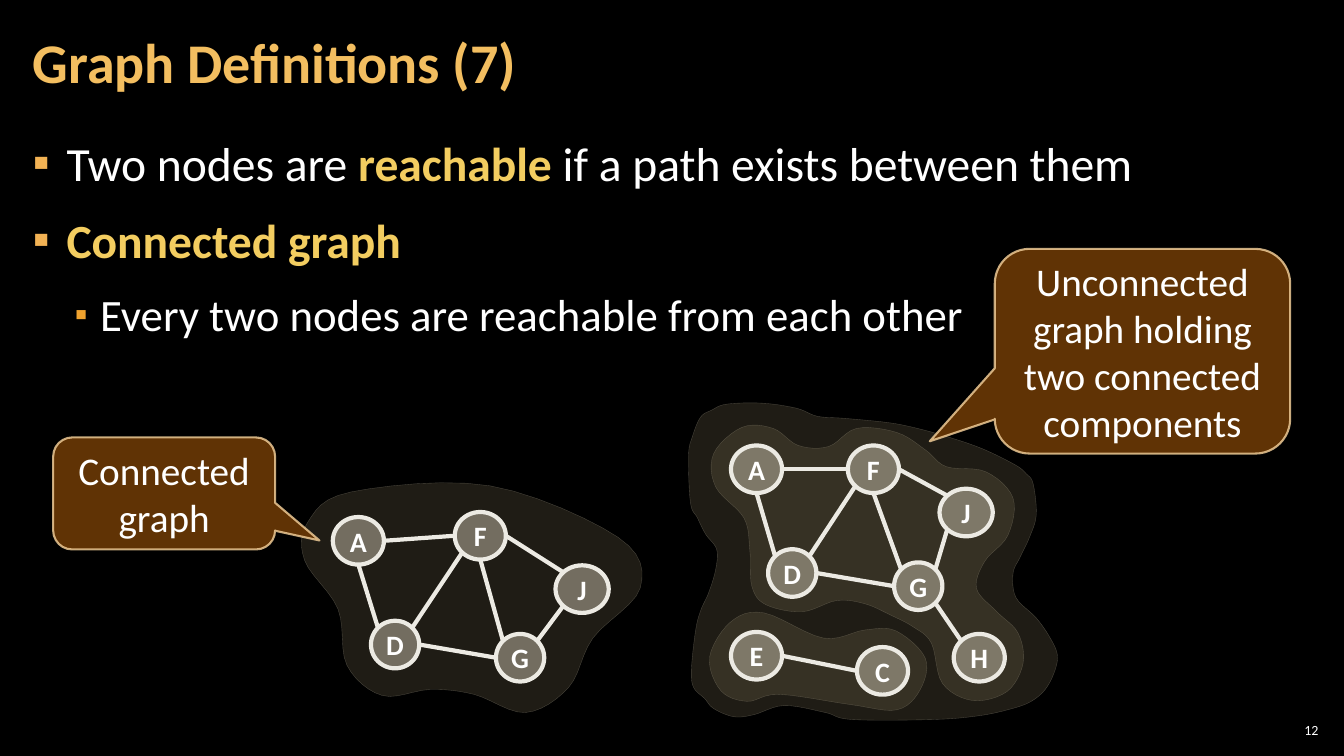
from dataclasses import dataclass

import pptx
import pptx.dml.color
import pptx.enum.shapes
import pptx.enum.text
import pptx.oxml
import pptx.oxml.ns
import pptx.util

Pt = pptx.util.Pt
qn = pptx.oxml.ns.qn
ALIGN = pptx.enum.text.PP_ALIGN
PRESET = pptx.enum.shapes.MSO_SHAPE


@dataclass(frozen=True)
class Theme:
    font: str = "Calibri"
    background: str = "000000"
    text: str = "FFFFFF"
    title: str = "F3BE60"
    emphasis: str = "F3CD60"
    bullets: tuple = ("F2B254", "F0A22E")
    region: str = "7C7154"
    node: str = "C7BFAC"
    edge: str = "ECEAE3"
    callout: str = "663606"
    callout_line: str = "F8D49E"
    title_size: int = 40
    body_sizes: tuple = (34, 32)
    callout_size: int = 28
    node_size: int = 20
    number_size: int = 10


THEME = Theme()

BULLETS = [
    (0, [("Two nodes are ", False), ("reachable", True), (" if a path exists between them", False)]),
    (0, [("Connected graph", True)]),
    (1, [("Every two nodes are reachable from each other", False)]),
]

# Node widths, and node centres relative to the box of each graph
NODE_HEIGHT = 34
NODE_WIDTHS = {"D": 34.5, "G": 34.5, "J": 38}
DEFAULT_WIDTH = 36.5
CONNECTED_NODES = {"A": (42, 44.3), "F": (129.1, 40.7), "J": (201.8, 78.8),
                   "D": (68.2, 118.4), "G": (157.5, 127.8)}
UNCONNECTED_NODES = {"A": (50.8, 47.2), "F": (134.3, 47.2), "J": (200.5, 78.1),
                     "D": (76.3, 121.3), "G": (166.3, 130.7), "E": (50.8, 180.4),
                     "C": (140.8, 191.2), "H": (209.9, 181.8)}

# Each edge leaves and meets its nodes at a compass point
COMMON_EDGES = [("A", "E", "F", "W"), ("A", "S", "D", "NW"), ("F", "SW", "D", "NE"),
                ("F", "S", "G", "NW"), ("F", "E", "J", "NW"), ("D", "E", "G", "W"),
                ("G", "NE", "J", "SW")]
EXTRA_EDGES = [("G", "SE", "H", "NW"), ("E", "E", "C", "W")]
COMPASS = {"E": (1, 0), "W": (-1, 0), "S": (0, 1), "NW": (-0.71, -0.71),
           "NE": (0.71, -0.71), "SW": (-0.71, 0.71), "SE": (0.71, 0.71)}

# Region outlines relative to the box of each graph
CONNECTED_REGION = [
    (5.8, 31), (36.7, 9.4), (136, 5), (227.5, 41.8), (243.4, 77.8), (209.5, 113.8), (192.2, 149),
    (161.3, 167), (124.6, 154), (93.6, 150.5), (59, 154.8), (33.8, 133.2), (27.4, 93), (3.6, 58.3)]
LARGE_COMPONENT = [
    (41.8, 82), (21.6, 59.8), (20.2, 36), (40.3, 17.3), (62.6, 18), (80.6, 30.2), (102.2, 31),
    (122.4, 18), (151.2, 21), (172, 33.8), (186.5, 45.4), (214.6, 49), (234, 67.7), (230.4, 94.3),
    (213.8, 113), (208, 132.5), (222.5, 149), (237.6, 164.2), (241.2, 185.8), (229.7, 206),
    (205.2, 212.4), (183.6, 200.2), (175.7, 171.4), (162.7, 159.8), (146.2, 151.2), (128.2, 143.3),
    (108, 141), (83.5, 149), (57.6, 144), (47.5, 131), (46, 105)]
SMALL_COMPONENT = [
    (32.4, 156.2), (56.2, 149.8), (98.6, 167.8), (128.2, 162), (150.5, 162.7), (171.4, 182.2),
    (167.8, 204.5), (151.2, 219), (118, 215.3), (67, 208), (44, 213), (25.2, 205.2), (17.3, 181.4)]
WHOLE_REGION = [
    (79.2, 3.6), (54.7, 0), (29.5, 0.7), (18.7, 5), (10.8, 10), (5, 23.8), (2.2, 37.4), (3.6, 71.3),
    (8.6, 82), (14.4, 93.6), (22.3, 104.4), (21.6, 118.8), (16.6, 135.4), (10.8, 148.3),
    (7.2, 162.7), (4.3, 190), (5.8, 203), (13.7, 211), (20.2, 218.2), (34.6, 224), (49, 222.5),
    (70.6, 216), (100, 221), (118.8, 226), (177, 226), (210.2, 223.2), (233.3, 218.2), (247, 213),
    (257, 204.5), (263.5, 192.2), (265.7, 180), (260.6, 167.8), (250.6, 153.4), (236.2, 139),
    (234, 121.7), (239, 110.2), (245.5, 96.5), (250.6, 80), (248.4, 57.6), (243.4, 50.4),
    (235.4, 44), (211.7, 32.4), (186.5, 23.8), (162.7, 17.3), (143.3, 13.7), (113, 10.8), (94.3, 9.4)]


def rgb(color):
    return pptx.dml.color.RGBColor.from_string(color)


def format_run(run, size, color=THEME.text, bold=False):
    font = run.font
    font.name, font.size, font.bold = THEME.font, Pt(size), bold
    font.color.rgb = rgb(color)


def set_frame(frame, insets, anchor):
    """Set the insets (left and right, top and bottom) and the anchor of a text frame."""
    frame.word_wrap = True
    frame.auto_size = pptx.enum.text.MSO_AUTO_SIZE.NONE
    frame.margin_left = frame.margin_right = Pt(insets[0])
    frame.margin_top = frame.margin_bottom = Pt(insets[1])
    frame.vertical_anchor = anchor


def write_line(frame, text, alignment, size, color=THEME.text, bold=False):
    frame.text = text
    paragraph = frame.paragraphs[0]
    paragraph.alignment = alignment
    format_run(paragraph.runs[0], size, color, bold)
    return paragraph


def place(shape, box):
    shape.left, shape.top, shape.width, shape.height = map(Pt, box)


def set_opacity(parent, percent):
    color = parent.find(qn("a:solidFill"))[0]
    pptx.oxml.ns  # namespace helpers are shared with qn
    color.append(color.makeelement(qn("a:alpha"), {"val": str(percent * 1000)}))


def paint(shape, fill, fill_opacity, line, line_width, line_opacity=100):
    shape.shadow.inherit = False
    shape.fill.solid()
    shape.fill.fore_color.rgb = rgb(fill)
    shape.line.color.rgb = rgb(line)
    shape.line.width = Pt(line_width)
    properties = shape._element.spPr
    set_opacity(properties, fill_opacity)
    set_opacity(properties.find(qn("a:ln")), line_opacity)


def add_title(slide, box):
    title = slide.shapes.title
    place(title, box)
    set_frame(title.text_frame, (8.5, 2.8), pptx.enum.text.MSO_ANCHOR.MIDDLE)
    paragraph = write_line(title.text_frame, "Graph Definitions (7)", ALIGN.LEFT,
                           THEME.title_size, THEME.title, True)
    paragraph.line_spacing = 0.9


def add_bullet(paragraph, level):
    properties = paragraph._p.get_or_add_pPr()
    margin, indent = ((24, -24), (48, -18))[level]
    properties.set("marL", str(Pt(margin)))
    properties.set("indent", str(Pt(indent)))
    color = pptx.oxml.parse_xml(
        '<a:buClr xmlns:a="http://schemas.openxmlformats.org/drawingml/2006/main">'
        f'<a:srgbClr val="{THEME.bullets[level]}"/></a:buClr>')
    properties.append(color)
    for tag, attributes in (("a:buSzPct", {"val": ("100000", "80000")[level]}),
                            ("a:buFont", {"typeface": THEME.font}),
                            ("a:buChar", {"char": "▪"})):
        properties.append(properties.makeelement(qn(tag), attributes))


def add_body(slide, box):
    body = slide.placeholders[1]
    place(body, box)
    frame = body.text_frame
    set_frame(frame, (8.5, 2.8), pptx.enum.text.MSO_ANCHOR.TOP)
    for index, (level, pieces) in enumerate(BULLETS):
        paragraph = frame.add_paragraph() if index else frame.paragraphs[0]
        paragraph.level = level
        paragraph.line_spacing = 1.05
        paragraph.space_before = Pt(6 if index else 0)
        paragraph.space_after = Pt(6)
        add_bullet(paragraph, level)
        for text, emphasized in pieces:
            run = paragraph.add_run()
            run.text = text
            format_run(run, THEME.body_sizes[level],
                       THEME.emphasis if emphasized else THEME.text, emphasized)


def smooth(points, steps=6):
    """Sample a closed Catmull-Rom curve through the points."""
    curve = []
    for i, b in enumerate(points):
        a, c, d = points[i - 1], points[(i + 1) % len(points)], points[(i + 2) % len(points)]
        for t in (step / steps for step in range(steps)):
            curve.append(tuple(
                q + ((r - p) * t + (2 * p - 5 * q + 4 * r - s) * t ** 2
                     + (3 * q - p - 3 * r + s) * t ** 3) / 2
                for p, q, r, s in zip(a, b, c, d)))
    return curve


def add_region(slide, origin, outline):
    points = [(Pt(origin[0] + x), Pt(origin[1] + y)) for x, y in smooth(outline)]
    builder = slide.shapes.build_freeform(*points[0])
    builder.add_line_segments(points[1:], close=True)
    paint(builder.convert_to_shape(), THEME.region, 25, THEME.node, 0.25, 30)


def add_graph(slide, origin, nodes, edges, regions):
    for outline in regions:
        add_region(slide, origin, outline)
    left, top = origin

    def node_point(name, direction):
        x, y = nodes[name]
        dx, dy = COMPASS[direction]
        width = NODE_WIDTHS.get(name, DEFAULT_WIDTH)
        return Pt(left + x + dx * width / 2), Pt(top + y + dy * NODE_HEIGHT / 2)

    for name, (x, y) in nodes.items():
        width = NODE_WIDTHS.get(name, DEFAULT_WIDTH)
        node = slide.shapes.add_shape(PRESET.OVAL, 0, 0, 0, 0)
        place(node, (left + x - width / 2, top + y - NODE_HEIGHT / 2, width, NODE_HEIGHT))
        paint(node, THEME.node, 50, THEME.edge, 3)
        set_frame(node.text_frame, (2.8, 3.6), pptx.enum.text.MSO_ANCHOR.MIDDLE)
        write_line(node.text_frame, name, ALIGN.CENTER, THEME.node_size, bold=True)
    for start, start_side, end, end_side in edges:
        edge = slide.shapes.add_connector(
            pptx.enum.shapes.MSO_CONNECTOR.STRAIGHT,
            *node_point(start, start_side), *node_point(end, end_side))
        edge.line.color.rgb = rgb(THEME.edge)
        edge.line.width = Pt(3)
        properties = edge._element.spPr
        properties.append(properties.makeelement(qn("a:effectLst"), {}))


def add_callout(slide, box, text, pointer):
    callout = slide.shapes.add_shape(PRESET.ROUNDED_RECTANGULAR_CALLOUT, 0, 0, 0, 0)
    place(callout, box)
    for index, value in enumerate((*pointer, 0.17)):
        callout.adjustments[index] = value
    paint(callout, THEME.callout, 95, THEME.callout_line, 1.5, 80)
    set_frame(callout.text_frame, (7.2, 3.6), pptx.enum.text.MSO_ANCHOR.MIDDLE)
    write_line(callout.text_frame, text, ALIGN.CENTER, THEME.callout_size)


def add_page_number(slide, box):
    number = slide.shapes.add_textbox(*map(Pt, box))
    set_frame(number.text_frame, (2.8, 2.8), pptx.enum.text.MSO_ANCHOR.MIDDLE)
    write_line(number.text_frame, "12", ALIGN.RIGHT, THEME.number_size)


def main():
    presentation = pptx.Presentation()
    presentation.slide_width, presentation.slide_height = Pt(960), Pt(540)
    slide = presentation.slides.add_slide(presentation.slide_layouts[1])
    slide.background.fill.solid()
    slide.background.fill.fore_color.rgb = rgb(THEME.background)
    add_page_number(slide, (910.8, 514, 33.8, 15))
    add_body(slide, (15, 90.7, 929.5, 438.5))
    add_title(slide, (15, 3, 754, 87))
    add_graph(slide, (214, 342), CONNECTED_NODES, COMMON_EDGES, [CONNECTED_REGION])
    add_callout(slide, (38, 312.5, 158.5, 80), "Connected graph", (0.7, 0.42))
    add_graph(slide, (489.6, 288), UNCONNECTED_NODES, COMMON_EDGES + EXTRA_EDGES,
              [LARGE_COMPONENT, SMALL_COMPONENT, WHOLE_REGION])
    add_callout(slide, (710.6, 177.8, 211, 146.2),
                "Unconnected graph holding two connected components", (-0.72, 0.44))
    presentation.save("out.pptx")


if __name__ == "__main__":
    main()
